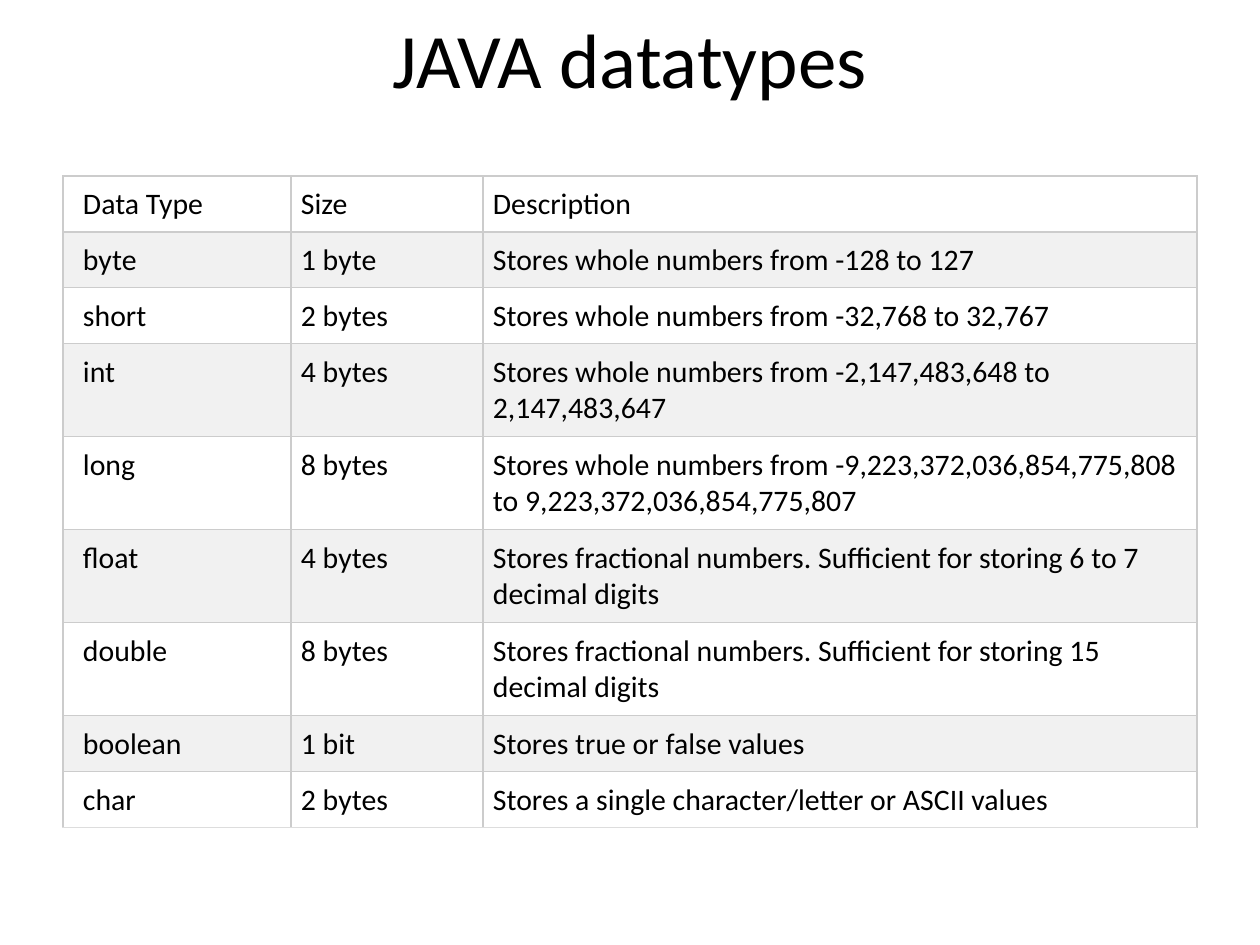
import pptx
import pptx.dml.color
import pptx.enum.text
import pptx.oxml.ns
import pptx.util
from lxml import etree

RGBColor = pptx.dml.color.RGBColor
PP_ALIGN = pptx.enum.text.PP_ALIGN
MSO_ANCHOR = pptx.enum.text.MSO_ANCHOR

BLACK = RGBColor(0x00, 0x00, 0x00)
WHITE = RGBColor(0xFF, 0xFF, 0xFF)
BAND = RGBColor(0xF1, 0xF1, 0xF1)
GRID = RGBColor(0xCC, 0xCC, 0xCC)
LAST_LINE = RGBColor(0xDD, 0xDD, 0xDD)

FONT = "Calibri"
PX_PER_INCH = 126
COLUMN_WIDTHS = (228, 192, 714)
ONE_LINE, TWO_LINES = 56, 93
LONG_TYPES = {"int", "long", "float", "double"}

DATATYPES = [
    ("Data Type", "Size", "Description"),
    ("byte", "1 byte", "Stores whole numbers from -128 to 127"),
    ("short", "2 bytes", "Stores whole numbers from -32,768 to 32,767"),
    ("int", "4 bytes",
     "Stores whole numbers from -2,147,483,648 to 2,147,483,647"),
    ("long", "8 bytes",
     "Stores whole numbers from -9,223,372,036,854,775,808 "
     "to 9,223,372,036,854,775,807"),
    ("float", "4 bytes",
     "Stores fractional numbers. Sufficient for storing 6 to 7 decimal digits"),
    ("double", "8 bytes",
     "Stores fractional numbers. Sufficient for storing 15 decimal digits"),
    ("boolean", "1 bit", "Stores true or false values"),
    ("char", "2 bytes", "Stores a single character/letter or ASCII values"),
]


def px(n):
    return pptx.util.Emu(round(n * 914400 / PX_PER_INCH))


def write_text(tf, text, size, color=BLACK, align=PP_ALIGN.LEFT):
    tf.word_wrap = True
    p = tf.paragraphs[0]
    p.alignment = align
    r = p.add_run()
    r.text = text
    r.font.name = FONT
    r.font.size = pptx.util.Pt(size)
    r.font.bold = False
    r.font.color.rgb = color


def add_title(s, text):
    sp = s.shapes.add_textbox(px(63), px(0), px(1134), px(116))
    sp.text_frame.vertical_anchor = MSO_ANCHOR.MIDDLE
    write_text(sp.text_frame, text, 44, align=PP_ALIGN.CENTER)


def set_borders(cell, bottom):
    tc_pr = cell._tc.get_or_add_tcPr()
    qn = pptx.oxml.ns.qn
    for side, color in (("L", GRID), ("R", GRID), ("T", GRID), ("B", bottom)):
        ln = etree.SubElement(tc_pr, qn(f"a:ln{side}"),
                              w=str(pptx.util.Pt(0.75)))
        fill = etree.SubElement(ln, qn("a:solidFill"))
        etree.SubElement(fill, qn("a:srgbClr"), val=str(color))


def format_cell(cell, text, left, fill, bottom):
    cell.margin_left = px(left)
    cell.margin_right = cell.margin_top = cell.margin_bottom = px(10)
    set_borders(cell, bottom)
    cell.fill.solid()
    cell.fill.fore_color.rgb = fill
    write_text(cell.text_frame, text, 17)


def add_datatype_table(s, rows):
    heights = [TWO_LINES if row[0] in LONG_TYPES else ONE_LINE for row in rows]
    table = s.shapes.add_table(len(rows), len(COLUMN_WIDTHS), px(63), px(176),
                               px(sum(COLUMN_WIDTHS)), px(sum(heights))).table
    table.first_row = table.horz_banding = False
    for column, width in zip(table.columns, COLUMN_WIDTHS):
        column.width = px(width)
    for i, (row, height) in enumerate(zip(rows, heights)):
        table.rows[i].height = px(height)
        fill = BAND if i % 2 else WHITE
        bottom = LAST_LINE if i == len(rows) - 1 else GRID
        for j, text in enumerate(row):
            format_cell(table.cell(i, j), text, 10 if j else 20, fill, bottom)


def main():
    prs = pptx.Presentation()
    prs.slide_width, prs.slide_height = px(1260), px(945)
    s = prs.slides.add_slide(prs.slide_layouts[6])

    # Heading
    add_title(s, "JAVA datatypes")

    # Banded table of primitive types
    add_datatype_table(s, DATATYPES)

    prs.save("out.pptx")


if __name__ == "__main__":
    main()
